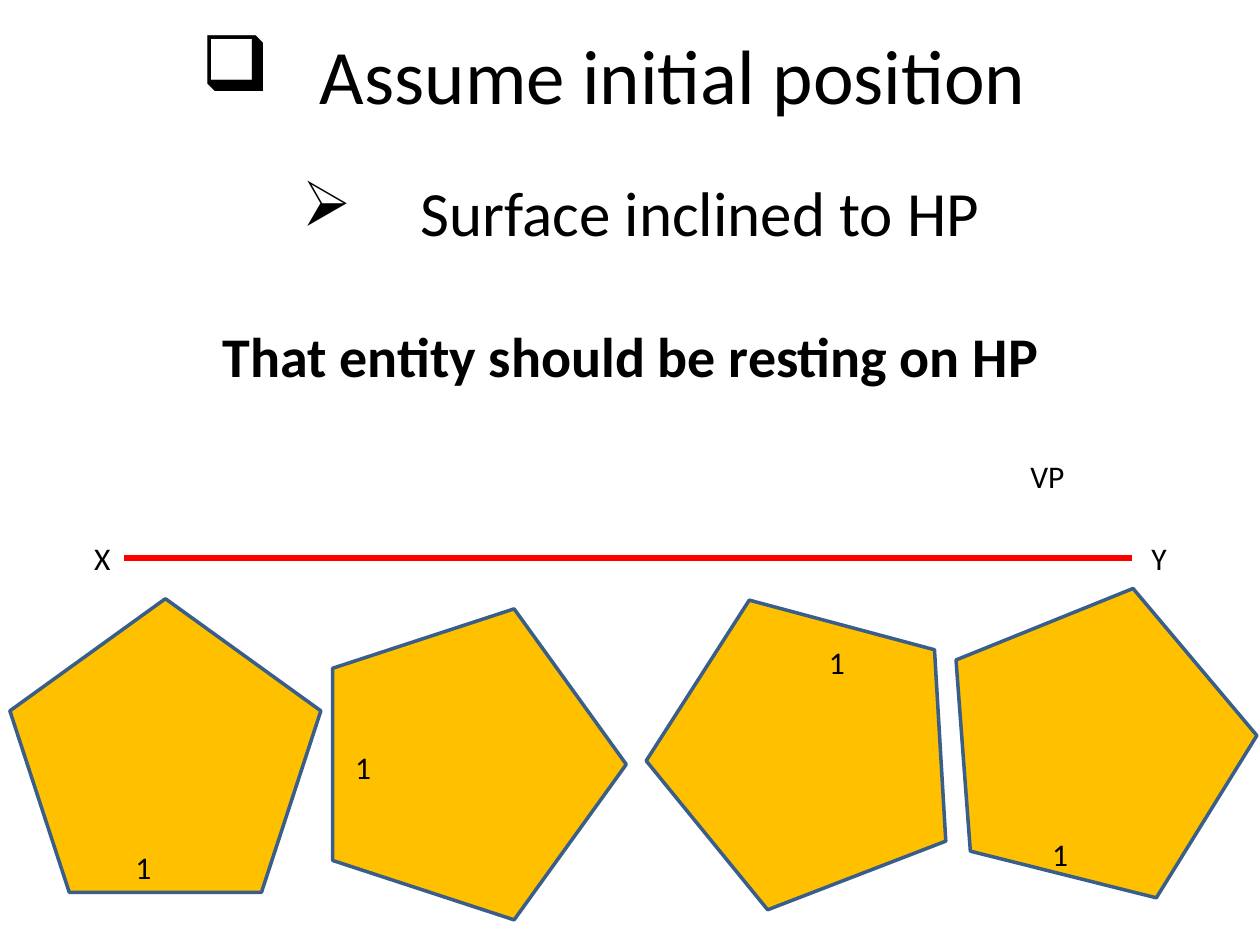
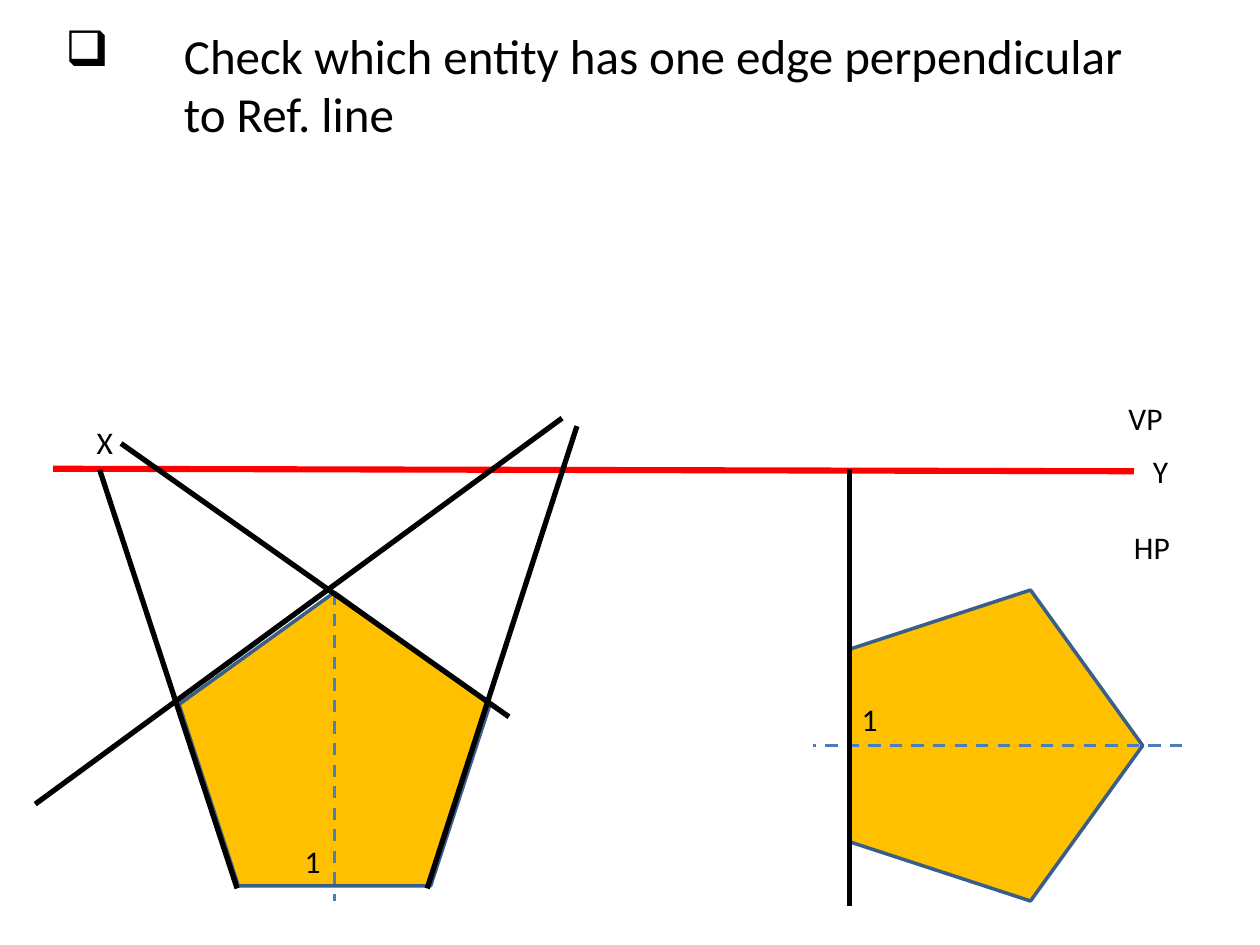
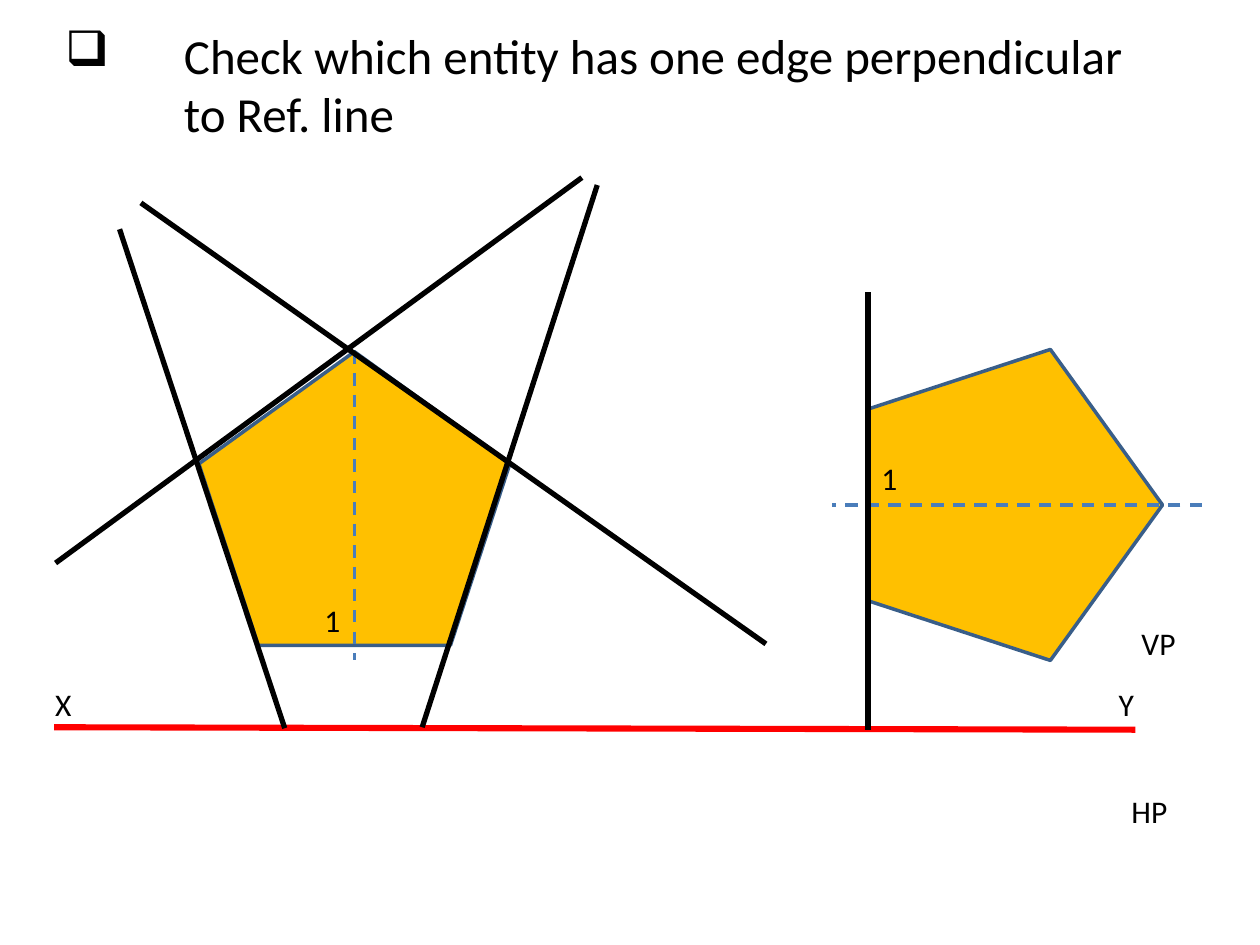
from dataclasses import dataclass

from lxml.etree import SubElement
from pptx import Presentation
from pptx.dml.color import RGBColor
from pptx.enum.dml import MSO_LINE
from pptx.enum.shapes import MSO_CONNECTOR, MSO_SHAPE
from pptx.oxml.ns import qn
from pptx.util import Cm, Pt


@dataclass(frozen=True)
class Theme:
    font: str = "Calibri"
    bullet_font: str = "Wingdings"
    ink: RGBColor = RGBColor(0x00, 0x00, 0x00)
    reference: RGBColor = RGBColor(0xFF, 0x00, 0x00)
    pentagon_fill: RGBColor = RGBColor(0xFF, 0xC0, 0x00)
    pentagon_edge: RGBColor = RGBColor(0x39, 0x5E, 0x89)
    axis: RGBColor = RGBColor(0x4A, 0x7D, 0xBA)
    title_size: int = 44
    subtitle_size: int = 36
    statement_size: int = 32
    check_size: int = 28
    label_size: int = 18
    reference_width: float = 3.5
    edge_width: float = 3
    outline_width: float = 2
    axis_width: float = 1.75


PENTAGON_WIDTH, PENTAGON_HEIGHT = 6.27, 5.92
LABEL_HEIGHT = 1.02
BULLET_INDENT = 2.39
# Wingdings codes for the shadowed box and the arrowhead
SQUARE_BULLET, ARROW_BULLET = "q", "Ø"


class Drawing:
    """Holds the theme and the slide being drawn; all positions are in centimetres."""

    def __init__(self, deck, theme):
        self.deck = deck
        self.theme = theme
        self.page = None

    def new_page(self):
        self.page = self.deck.slides.add_slide(self.deck.slide_layouts[6])

    def text(self, words, left, top, width, height, size, bold=False, bullet=None, wrap=True):
        box = self.page.shapes.add_textbox(Cm(left), Cm(top), Cm(width), Cm(height))
        box.text_frame.word_wrap = wrap
        para = box.text_frame.paragraphs[0]
        if bullet:
            self.add_bullet(para, bullet)
        span = para.add_run()
        span.text = words
        span.font.name = self.theme.font
        span.font.size = Pt(size)
        span.font.bold = bold
        span.font.color.rgb = self.theme.ink

    def add_bullet(self, para, character):
        properties = para._p.get_or_add_pPr()
        properties.set("marL", str(Cm(BULLET_INDENT)))
        properties.set("indent", str(-Cm(BULLET_INDENT)))
        SubElement(properties, qn("a:buFont"), typeface=self.theme.bullet_font,
                   pitchFamily="2", charset="2")
        SubElement(properties, qn("a:buChar"), char=character)

    def label(self, words, left, top):
        width = 0.84 if len(words) == 1 else 1.24
        self.text(words, left, top, width, LABEL_HEIGHT, self.theme.label_size, wrap=False)

    def line(self, start_x, start_y, end_x, end_y, color, width, dash=None):
        connector = self.page.shapes.add_connector(
            MSO_CONNECTOR.STRAIGHT, Cm(start_x), Cm(start_y), Cm(end_x), Cm(end_y))
        connector.line.color.rgb = color
        connector.line.width = Pt(width)
        if dash:
            connector.line.dash_style = dash
        SubElement(connector._element.spPr, qn("a:effectLst"))

    def reference_line(self, ends, x_label, y_label):
        self.line(*ends, self.theme.reference, self.theme.reference_width)
        self.label("X", *x_label)
        self.label("Y", *y_label)

    def extended_edge(self, *ends):
        self.line(*ends, self.theme.ink, self.theme.edge_width)

    def axis(self, *ends):
        self.line(*ends, self.theme.axis, self.theme.axis_width, MSO_LINE.DASH)

    def pentagon(self, left, top, rotation, label_left, label_top):
        """Draw a pentagon and its number, placed relative to the unrotated corner."""
        shape = self.page.shapes.add_shape(
            MSO_SHAPE.REGULAR_PENTAGON, Cm(left), Cm(top),
            Cm(PENTAGON_WIDTH), Cm(PENTAGON_HEIGHT))
        shape.shadow.inherit = False
        shape.rotation = rotation
        shape.fill.solid()
        shape.fill.fore_color.rgb = self.theme.pentagon_fill
        shape.line.color.rgb = self.theme.pentagon_edge
        shape.line.width = Pt(self.theme.outline_width)
        self.label("1", left + label_left, top + label_top)

    def pentagon_pair(self, left, top):
        """Draw an upright and a turned pentagon, each with its axis of symmetry."""
        self.pentagon(left, top, 0, 2.28, 4.9)
        middle_x = left + PENTAGON_WIDTH / 2
        self.axis(middle_x, top, middle_x, top + 6.22)

        turned_left, turned_top = left + 13.33, top + 0.13
        self.pentagon(turned_left, turned_top, 90, 0.18, 1.91)
        middle_y = turned_top + PENTAGON_HEIGHT / 2
        self.axis(turned_left + 6.89, middle_y, turned_left - 0.56, middle_y)


def draw_initial_position(drawing):
    theme = drawing.theme
    drawing.new_page()
    drawing.text("Assume initial position", 3.81, 0.43, 17.32, 2.13,
                 theme.title_size, bullet=SQUARE_BULLET)
    drawing.text("Surface inclined to HP", 5.84, 3.38, 14.58, 1.8,
                 theme.subtitle_size, bullet=ARROW_BULLET)
    drawing.text("That entity should be resting on HP", 4.24, 6.35, 18.62, 1.63,
                 theme.statement_size, bold=True)
    drawing.label("VP", 20.52, 9.09)
    drawing.reference_line((2.51, 11.25, 22.83, 11.25), (1.65, 10.74), (22.96, 10.74))
    for placement in (
        (0.2, 12.07, 0, 2.28, 4.9),
        (6.53, 12.45, 90, 0.38, 2.51),
        (13.41, 12.01, 50.8, 3.05, 0.82),
        (18.69, 12.29, 229.9, 2.27, 4.42),
    ):
        drawing.pentagon(*placement)


@dataclass(frozen=True)
class EdgeCheck:
    """Places that differ between the two pages that check the edges."""
    vp: tuple
    hp: tuple
    reference: tuple
    x_label: tuple
    y_label: tuple
    pentagons: tuple
    edges: tuple


EDGE_CHECKS = (
    EdgeCheck(
        vp=(22.5, 7.92), hp=(22.61, 10.52),
        reference=(1.07, 9.45, 22.86, 9.5), x_label=(1.7, 8.41), y_label=(22.99, 8.99),
        pentagons=(3.61, 11.94),
        edges=((17.12, 9.45, 17.12, 18.26), (2.01, 9.47, 4.78, 17.91),
               (0.71, 16.21, 11.33, 8.43), (2.44, 8.94, 10.26, 14.45),
               (8.61, 17.91, 11.63, 8.59)),
    ),
    EdgeCheck(
        vp=(22.76, 12.45), hp=(22.56, 15.85),
        reference=(1.09, 14.66, 22.89, 14.71), x_label=(0.86, 13.69), y_label=(22.3, 13.69),
        pentagons=(4.01, 7.09),
        edges=((17.5, 5.89, 17.5, 14.71), (2.41, 4.62, 5.74, 14.68),
               (1.12, 11.35, 11.73, 3.58), (2.84, 4.09, 15.44, 12.98),
               (8.51, 14.66, 12.04, 3.73)),
    ),
)


def draw_edge_check(drawing, check):
    drawing.new_page()
    drawing.text("Check which entity has one edge perpendicular to Ref. line",
                 1.07, 0.38, 22.71, 2.64, drawing.theme.check_size, bullet=SQUARE_BULLET)
    drawing.label("VP", *check.vp)
    drawing.label("HP", *check.hp)
    drawing.reference_line(check.reference, check.x_label, check.y_label)
    drawing.pentagon_pair(*check.pentagons)
    for edge in check.edges:
        drawing.extended_edge(*edge)


def main():
    deck = Presentation()
    deck.slide_width = Cm(25.4)
    deck.slide_height = Cm(19.05)
    drawing = Drawing(deck, Theme())
    draw_initial_position(drawing)
    for check in EDGE_CHECKS:
        draw_edge_check(drawing, check)
    deck.save("out.pptx")


if __name__ == "__main__":
    main()
